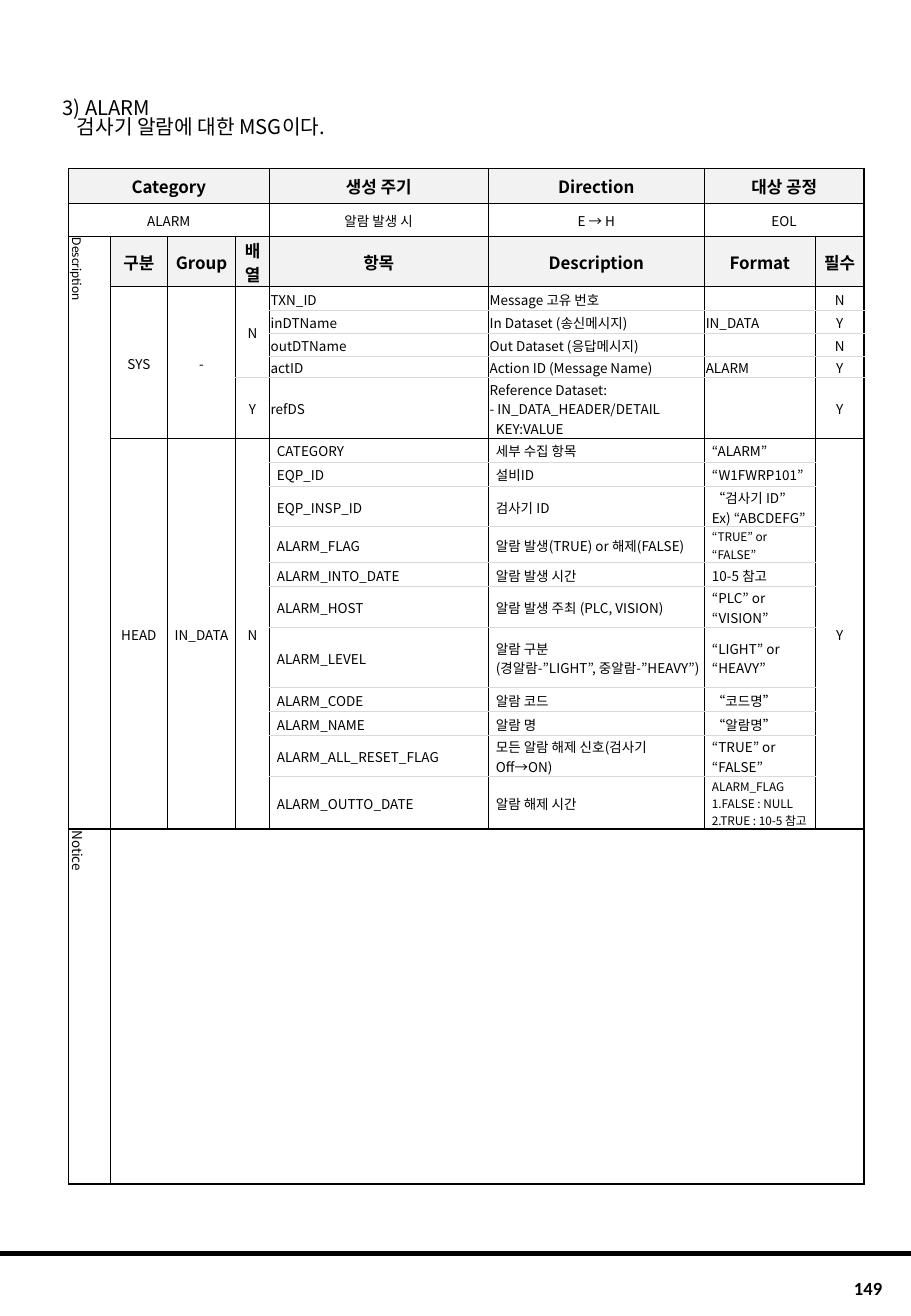
import pptx
import pptx.util
import pptx.dml.color
import pptx.enum.shapes
import pptx.enum.text
import pptx.oxml
import pptx.oxml.ns
from lxml import etree

Cm, Pt = pptx.util.Cm, pptx.util.Pt
ALIGN, ANCHOR = pptx.enum.text.PP_ALIGN, pptx.enum.text.MSO_ANCHOR
COLORS = {"ink": "000000", "head": "F2F2F2", "grid": "D9D9D9"}
KOREAN, LATIN = "Noto Sans CJK KR", "Calibri"

# Content
TITLE = ["3) ALARM", "검사기 알람에 대한 MSG이다."]
PAGE_NUMBER = "149"
CATEGORIES = [("Category", "ALARM"), ("생성 주기", "알람 발생 시"),
              ("Direction", "E → H"), ("대상 공정", "EOL")]
CATEGORY_SPANS = [(0, 3), (4, 4), (5, 5), (6, 7)]
HEADINGS = ["구분", "Group", "배열", "항목", "Description", "Format", "필수"]
SYS_ITEMS = [
    ("TXN_ID", "Message 고유 번호", "", "N"),
    ("inDTName", "In Dataset (송신메시지)", "IN_DATA", "Y"),
    ("outDTName", "Out Dataset (응답메시지)", "", "N"),
    ("actID", "Action ID (Message Name)", "ALARM", "Y"),
    ("refDS", "Reference Dataset:\n- IN_DATA_HEADER/DETAIL\nKEY:VALUE", "", "Y"),
]
HEAD_ITEMS = [
    ("CATEGORY", "세부 수집 항목", "“ALARM”"),
    ("EQP_ID", "설비ID", "“W1FWRP101”"),
    ("EQP_INSP_ID", "검사기 ID", "“검사기 ID”\nEx) “ABCDEFG”"),
    ("ALARM_FLAG", "알람 발생(TRUE) or 해제(FALSE)", "“TRUE” or “FALSE”"),
    ("ALARM_INTO_DATE", "알람 발생 시간", "10-5 참고"),
    ("ALARM_HOST", "알람 발생 주최 (PLC, VISION)", "“PLC” or “VISION”"),
    ("ALARM_LEVEL", "알람 구분\n(경알람-”LIGHT”, 중알람-”HEAVY”)", "“LIGHT” or “HEAVY”"),
    ("ALARM_CODE", "알람 코드", "“코드명”"),
    ("ALARM_NAME", "알람 명", "“알람명”"),
    ("ALARM_ALL_RESET_FLAG", "모든 알람 해제 신호(검사기 Off→ON)", "“TRUE” or “FALSE”"),
    ("ALARM_OUTTO_DATE", "알람 해제 시간", "ALARM_FLAG\n1.FALSE : NULL\n2.TRUE : 10-5 참고"),
]
SMALL_FORMATS = {"ALARM_FLAG", "ALARM_OUTTO_DATE"}
INDENTS = {"3) ALARM": 0.29, TITLE[1]: 0.59, "KEY:VALUE": 0.13}

# Table measures in centimetres
WIDTHS = [0.88, 1.19, 1.43, 0.7, 4.58, 4.52, 2.32, 1.02]
HEIGHTS = [0.73, 0.69, 0.86, 0.5, 0.48, 0.49, 0.44, 1.12, 0.5, 0.5,
           0.69, 0.69, 0.5, 0.69, 0.69, 0.5, 0.5, 0.69, 0.5, 7.42]
HEADING_ROW = 2
SYS_ROW = HEADING_ROW + 1
HEAD_ROW = SYS_ROW + len(SYS_ITEMS)
NOTICE_ROW = HEAD_ROW + len(HEAD_ITEMS)


def write(frame, text, size=8, font=KOREAN, bold=False, align=ALIGN.LEFT, spacing=None):
    for index, line in enumerate(text.split("\n")):
        para = frame.paragraphs[0] if index == 0 else frame.add_paragraph()
        para.alignment = align
        if spacing:
            para.line_spacing = spacing
        if line in INDENTS:
            para._p.get_or_add_pPr().set("marL", str(int(Cm(INDENTS[line]))))
        if not line:
            # An empty cell keeps its row low through its end mark
            etree.SubElement(para._p, pptx.oxml.ns.qn("a:endParaRPr"), sz=str(size * 100))
            continue
        span = para.add_run()
        span.text = line
        span.font.size, span.font.bold, span.font.name = Pt(size), bold, font
        span.font.color.rgb = pptx.dml.color.RGBColor.from_string(COLORS["ink"])
        east = etree.SubElement(span._r.get_or_add_rPr(), pptx.oxml.ns.qn("a:ea"))
        east.set("typeface", font)


def draw_border(cell, side, color, width):
    namespace = pptx.oxml.ns.nsdecls("a")
    cell._tc.get_or_add_tcPr().append(pptx.oxml.parse_xml(
        f'<a:ln{side} {namespace} w="{int(Pt(width))}"><a:solidFill>'
        f'<a:srgbClr val="{COLORS[color]}"/></a:solidFill></a:ln{side}>'))


def fill_cell(table, top, left, text, bottom=None, right=None, fill=None, inset=0.03,
              light="", vertical=False, **style):
    bottom = top if bottom is None else bottom
    right = left if right is None else right
    anchor = table.cell(top, left)
    if (bottom, right) != (top, left):
        anchor.merge(table.cell(bottom, right))
    for row in range(top, bottom + 1):
        for column in range(left, right + 1):
            cell = table.cell(row, column)
            first = cell is anchor or (row, column) == (top, left)
            outer = {"L": column == left, "R": column == right,
                     "T": row == top, "B": row == bottom}
            for side, on_edge in outer.items():
                if first or on_edge:
                    heavy = (side == "B" and bottom >= NOTICE_ROW - 1) or (
                        side == "T" and top == NOTICE_ROW)
                    draw_border(cell, side, "grid" if side in light else "ink",
                                1 if heavy else 0.75)
            if fill:
                cell.fill.solid()
                cell.fill.fore_color.rgb = pptx.dml.color.RGBColor.from_string(COLORS[fill])
            else:
                cell.fill.background()
    anchor.vertical_anchor = ANCHOR.MIDDLE
    anchor.margin_left, anchor.margin_right = Cm(inset), Cm(0.03)
    anchor.margin_top, anchor.margin_bottom = Cm(0.03), 0
    if vertical:
        anchor._tc.get_or_add_tcPr().set("vert", "vert")
    write(anchor.text_frame, text, **style)


def fill_items(table, start, items, inset):
    for index, item in enumerate(items):
        light = ("T" if index else "") + ("B" if index < len(items) - 1 else "")
        for offset, text in enumerate(item):
            small = offset == 2 and item[0] in SMALL_FORMATS
            fill_cell(table, start + index, 4 + offset, text, light=light,
                      size=7 if small else 8, inset=0.03 if offset == 3 else inset,
                      align=ALIGN.CENTER if offset == 3 else ALIGN.LEFT)


def add_text(page, left, top, width, height, text, inset=None, anchor=ANCHOR.TOP, **style):
    box = page.shapes.add_textbox(Cm(left), Cm(top), Cm(width), Cm(height))
    frame = box.text_frame
    frame.word_wrap, frame.vertical_anchor = True, anchor
    if inset is not None:
        frame.margin_left = frame.margin_right = Cm(inset)
        frame.margin_top = frame.margin_bottom = Cm(inset)
    write(frame, text, **style)


def main():
    deck = pptx.Presentation()
    deck.slide_width, deck.slide_height = Cm(19.05), Cm(27.51)
    page = deck.slides.add_slide(deck.slide_layouts[6])

    # Footer rule
    rule = page.shapes.add_connector(pptx.enum.shapes.MSO_CONNECTOR.STRAIGHT,
                                     0, Cm(26.21), deck.slide_width, Cm(26.21))
    rule.line.width = Pt(3)
    rule.line.color.rgb = pptx.dml.color.RGBColor.from_string(COLORS["ink"])
    etree.SubElement(rule._element.spPr, pptx.oxml.ns.qn("a:effectLst"))

    # Message table
    table = page.shapes.add_table(len(HEIGHTS), len(WIDTHS), Cm(1.43), Cm(3.52),
                                  Cm(sum(WIDTHS)), Cm(sum(HEIGHTS))).table
    table.first_row = table.horz_banding = False
    for column, width in zip(table.columns, WIDTHS):
        column.width = Cm(width)
    for row, height in zip(table.rows, HEIGHTS):
        row.height = Cm(height)
    heading = {"fill": "head", "size": 10, "bold": True, "align": ALIGN.CENTER}
    for (name, value), (left, right) in zip(CATEGORIES, CATEGORY_SPANS):
        fill_cell(table, 0, left, name, right=right, **heading)
        fill_cell(table, 1, left, value, right=right, align=ALIGN.CENTER)
    for column, text in enumerate(HEADINGS, 1):
        fill_cell(table, HEADING_ROW, column, text, **heading)
    fill_cell(table, HEADING_ROW, 0, "Description", bottom=NOTICE_ROW - 1,
              vertical=True, font=LATIN)

    # Merged group cells: top, bottom, column, text, light sides
    sys_end, head_end = HEAD_ROW - 1, NOTICE_ROW - 1
    groups = [(SYS_ROW, sys_end, 1, "SYS", ""), (SYS_ROW, sys_end, 2, "-", ""),
              (SYS_ROW, sys_end - 1, 3, "N", "B"), (sys_end, sys_end, 3, "Y", "T"),
              (HEAD_ROW, head_end, 1, "HEAD", ""), (HEAD_ROW, head_end, 2, "IN_DATA", ""),
              (HEAD_ROW, head_end, 3, "N", ""), (HEAD_ROW, head_end, 7, "Y", "")]
    for top, bottom, column, text, light in groups:
        fill_cell(table, top, column, text, bottom=bottom, light=light, align=ALIGN.CENTER)
    fill_items(table, SYS_ROW, SYS_ITEMS, inset=0.03)
    fill_items(table, HEAD_ROW, HEAD_ITEMS, inset=0.16)
    fill_cell(table, NOTICE_ROW, 0, "Notice", vertical=True)
    fill_cell(table, NOTICE_ROW, 1, "", right=7)

    # Page number and title
    add_text(page, 15.7, 26.57, 3, 0.71, PAGE_NUMBER, anchor=ANCHOR.MIDDLE,
             size=11, font=LATIN, bold=True, align=ALIGN.RIGHT)
    add_text(page, 1.02, 2.08, 16.99, 1.02, "\n".join(TITLE), inset=0, size=12, spacing=0.8)
    deck.save("out.pptx")


if __name__ == "__main__":
    main()
